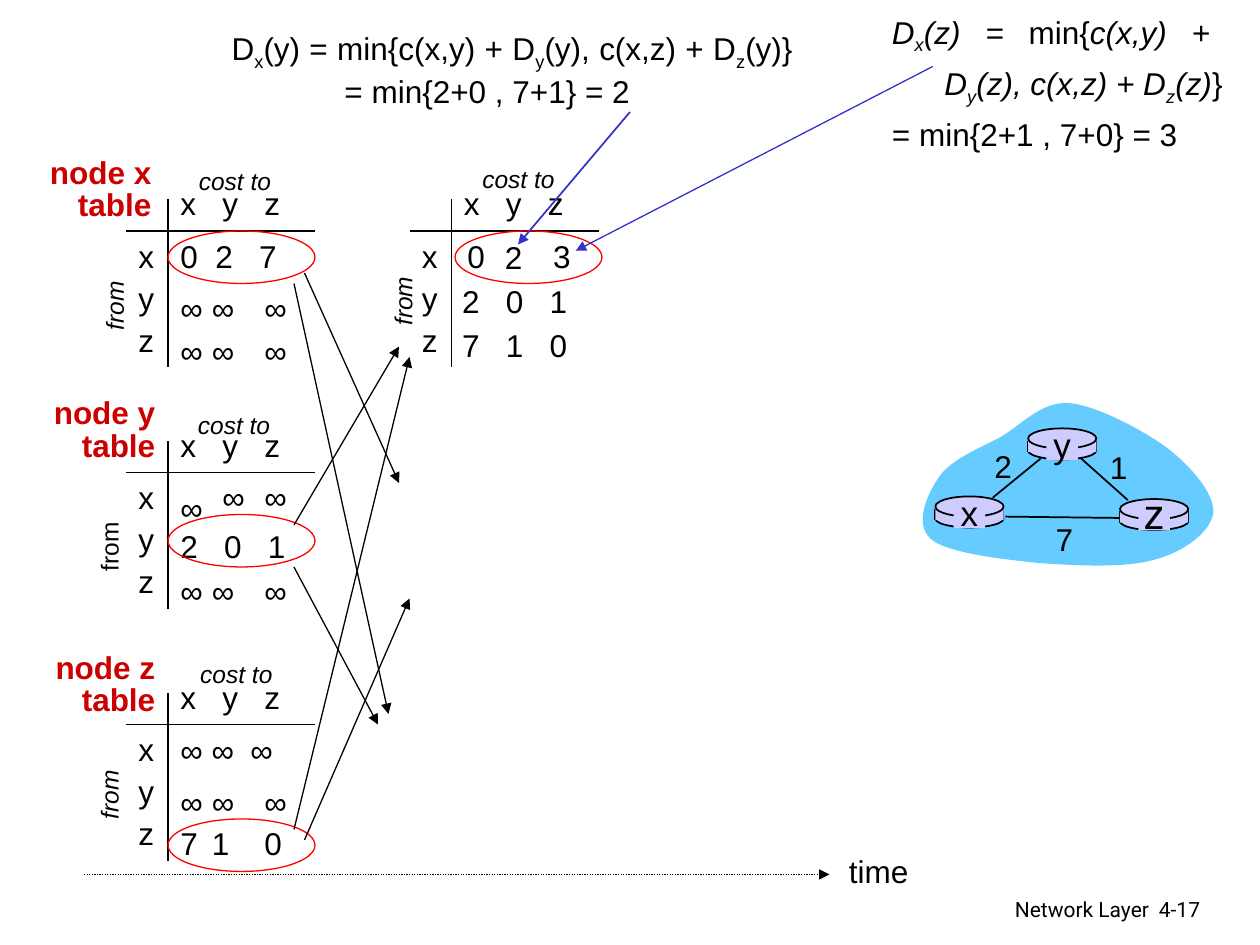
from lxml import etree
from pptx import Presentation
from pptx.dml.color import RGBColor
from pptx.enum.dml import MSO_LINE
from pptx.enum.shapes import MSO_CONNECTOR, MSO_SHAPE
from pptx.enum.text import MSO_ANCHOR, MSO_AUTO_SIZE, PP_ALIGN
from pptx.oxml.ns import qn
from pptx.util import Pt

LEFT, RIGHT, JUSTIFY = PP_ALIGN.LEFT, PP_ALIGN.RIGHT, PP_ALIGN.JUSTIFY
CENTER = PP_ALIGN.CENTER
OVAL, RECT = MSO_SHAPE.OVAL, MSO_SHAPE.RECTANGLE
BLACK, RED, TITLE_RED, BLUE = "000000", "FF0000", "CC0000", "3333CC"
SKY, LILAC = "66CCFF", "CCCCFF"
NAMES = "xyz"
ROW, COLUMNS = 24, (0, 18, 48)
WIDE, NARROW = (25, 50), (18, 40)  # tab stops of the number rows


def infinities(offset, columns=COLUMNS):
    return [(column, offset, "∞", ()) for column in columns]


# Distance tables; cells are (dx, dy, text, tab stops) from the table corner
TABLES = [
    {"corner": (96, 114), "title": ("node x\ntable", 93.6, 87), "cost": (106.5, 91.5),
     "from": (44, 162.7, True), "ring": (0, 18),
     "cells": [(0, 18, "0\t2\t7", (20, 45))] + infinities(47.5) + infinities(72)},
    {"corner": (258, 114), "title": None, "cost": (268.5, 90),
     "from": (208.8, 160, True), "ring": (2, 18),
     "cells": [(2, 18, "0", ()), (23.5, 18.5, "2", ()), (51, 18, "3", ()),
               (-1, 43.5, "2\t0\t1", WIDE), (-1, 69, "7\t1\t0", WIDE)]},
    {"corner": (96, 252), "title": ("node y\ntable", 95.8, 224.6), "cost": (106, 231),
     "from": (41, 300.2, False), "ring": (0, 42),
     "cells": infinities(17.5, (24, 48)) + [(0, 24, "∞\n2\t0\t1", WIDE)]
     + infinities(71.5)},
    {"corner": (96, 396), "title": ("node z\ntable", 95.8, 370), "cost": (107.3, 373),
     "from": (41, 442, True), "ring": (0, 72),
     "cells": [(0, 18, "∞ ∞\t∞", NARROW)] + infinities(48)
     + [(x, 71.5, digit, ()) for x, digit in zip(COLUMNS, "710")]},
]

# Arrows: x1, y1, x2, y2
EXCHANGES = [(174, 156, 228, 276), (168, 162, 222, 408), (168, 300, 228, 198),
             (168, 324, 216, 414), (168, 474, 234, 204), (174, 480, 234, 342)]
TIME_AXIS = (48, 499.7, 474, 499.7)
POINTERS = [((360, 64, 296, 139.7), 1), ((533, 38, 329, 143.3), 0.75)]

# Equations: spans are (text, flags) with i = italic, s = subscript
EQUATION_Y = [[("D", ""), ("x", "s"), ("(y) = min{c(x,y) + D", ""), ("y", "s"),
               ("(y), c(x,z) + D", ""), ("z", "s"),
               ("(y)} \n= min{2+0 , 7+1} = 2", "")]]
EQUATION_Z = [[("D", "i"), ("x", "is"), ("(z) = ", "i"), ("min{", ""),
               ("c(x,y) + \nD", "i"), ("y", "is"), ("(z), c(x,z) + D", "i"),
               ("z", "is"), ("(z)", "i"), ("} ", "")],
              [("= min{2+1 , 7+0} = 3", "")]]

# Network: cloud start, then Bezier segments in inches
CLOUD_START = (7.45, 3.79)
CLOUD = [(7.54, 3.65, 7.77, 3.56, 7.94, 3.47), (8.11, 3.37, 8.27, 3.18, 8.49, 3.2),
         (8.71, 3.22, 9.08, 3.42, 9.27, 3.56), (9.46, 3.71, 9.64, 3.92, 9.63, 4.07),
         (9.61, 4.22, 9.4, 4.38, 9.17, 4.44), (8.94, 4.51, 8.55, 4.49, 8.26, 4.47),
         (7.96, 4.44, 7.52, 4.39, 7.39, 4.28), (7.25, 4.16, 7.36, 3.92, 7.45, 3.79)]
LINKS = [(567.3, 284.4, 594.7, 262), (617.8, 262, 644.5, 285.8), (641.5, 296, 574.5, 295.2)]
COSTS = [("2", 561, 252), ("1", 627, 252.7), ("7", 596, 293.8)]
ROUTERS = [("x", 534.5, 283.7, 20, 277.2), ("z", 640, 285.2, 24, 275),
           ("y", 587.5, 244.8, 20, 238.3)]  # name, left, top, size, text top


def color(value):
    return RGBColor.from_string(value)


def add_text(left, top, width, height, content, size=18, name="Arial", ink=BLACK,
             bold=False, italic=False, align=LEFT, spacing=None, wrap=True,
             anchor=MSO_ANCHOR.TOP, tabs=(), hanging=0, rotation=0):
    box = page.shapes.add_textbox(Pt(left), Pt(top), Pt(width), Pt(height))
    box.rotation = rotation
    frame = box.text_frame
    frame.word_wrap, frame.vertical_anchor = wrap, anchor
    frame.auto_size = MSO_AUTO_SIZE.SHAPE_TO_FIT_TEXT
    if isinstance(content, str):
        content = [[(line, "i" if italic else "")] for line in content.split("\n")]
    for index, spans in enumerate(content):
        para = frame.add_paragraph() if index else frame.paragraphs[0]
        para.alignment, para.line_spacing = align, spacing
        properties = para._p.get_or_add_pPr()
        if hanging and not index:
            properties.set("marL", str(Pt(hanging)))
            properties.set("indent", str(-Pt(hanging)))
        if tabs:
            stops = etree.SubElement(properties, qn("a:tabLst"))
            for stop in tabs:
                etree.SubElement(stops, qn("a:tab"), pos=str(Pt(stop)), algn="l")
        for text, flags in spans:
            for number, piece in enumerate(text.split("\n")):
                if number:
                    para.add_line_break()
                span = para.add_run()
                span.text = piece
                format_values = {"size": Pt(size), "name": name, "bold": bold,
                                 "italic": "i" in flags}
                for key, value in format_values.items():
                    setattr(span.font, key, value)
                span.font.color.rgb = color(ink)
                if "s" in flags:
                    span._r.get_or_add_rPr().set("baseline", "-25000")


def add_line(ends, ink=BLACK, weight=0.75, arrow=False, dash=None):
    line = page.shapes.add_connector(MSO_CONNECTOR.STRAIGHT, *map(Pt, ends))
    line.line.color.rgb, line.line.width = color(ink), Pt(weight)
    if dash:
        line.line.dash_style = dash
    if arrow:
        etree.SubElement(line.line._get_or_add_ln(), qn("a:tailEnd"), type="triangle")
    etree.SubElement(line._element.spPr, qn("a:effectLst"))


def paint(shape, fill=None, ink=None, weight=0.75):
    shape.shadow.inherit = False
    for part, value in ((shape.fill, fill), (shape.line.fill, ink)):
        if value:
            part.solid()
            part.fore_color.rgb = color(value)
        else:
            part.background()
    if ink:
        shape.line.width = Pt(weight)


def add_shape(kind, left, top, width, height, **look):
    paint(page.shapes.add_shape(kind, Pt(left), Pt(top), Pt(width), Pt(height)), **look)


def add_table_sketch(table):
    left, top = table["corner"]
    add_line((left, top, left, top + 96))
    add_line((left - ROW, top + 18, left + 84, top + 18))
    add_text(left, top - 12.3, 76, 29, "\t".join(NAMES), tabs=(24, 48))
    for index, name in enumerate(NAMES):
        add_text(left - ROW, top + 17.7 + index * ROW, 30, 29, name)
    for dx, dy, text, tabs in table["cells"]:
        add_text(left + dx, top + dy, 78 if tabs else 30, 29, text, tabs=tabs)
    add_text(*table["cost"], 60, 24, "cost to", size=14, italic=True)
    x, y, slanted = table["from"]
    add_text(x, y, 42.5, 24, "from", size=14, italic=slanted, wrap=False, rotation=270)
    if table["title"]:
        text, right, y = table["title"]
        add_text(right - 90, y, 90, 44, text, ink=TITLE_RED, bold=True,
                 align=RIGHT, spacing=0.85)
    dx, dy = table["ring"]
    add_shape(OVAL, left + dx, top + dy, 84, 30, ink=RED)


def add_cloud():
    start = previous = CLOUD_START
    points = []
    for x1, y1, x2, y2, x3, y3 in CLOUD:
        for step in range(1, 13):
            t = step / 12
            weights = ((1 - t) ** 3, 3 * t * (1 - t) ** 2, 3 * t * t * (1 - t), t ** 3)
            curve = (previous, (x1, y1), (x2, y2), (x3, y3))
            points.append(tuple(7200 * sum(w * point[axis] for w, point in zip(weights, curve))
                                for axis in (0, 1)))
        previous = (x3, y3)
    builder = page.shapes.build_freeform(start[0] * 7200, start[1] * 7200, scale=Pt(1) / 100)
    builder.add_line_segments(points, close=True)
    paint(builder.convert_to_shape(), fill=SKY)


def add_router(name, left, top, size, text_top):
    add_shape(OVAL, left, top + 7.7, 39, 10, fill=LILAC, ink=BLACK, weight=1)
    for x in (left, left + 39):
        add_line((x, top + 7, x, top + 13.7), weight=1)
    add_shape(RECT, left, top + 7, 39, 6.5, fill=LILAC)
    add_shape(OVAL, left, top, 39, 11.5, fill=LILAC, ink=BLACK, weight=1)
    add_shape(RECT, left + 10.5, top + 1.5, 18, 16.5, fill=LILAC)
    add_text(left + 4.5, text_top, 30, 31, name, size=size, align=CENTER)


deck = Presentation()
deck.slide_width, deck.slide_height = Pt(720), Pt(540)
page = deck.slides.add_slide(deck.slide_layouts[6])

# Footer
add_text(435.6, 509, 228.2, 22, "Network Layer", size=12, name="Roboto", align=RIGHT)
add_text(655.2, 509, 53, 22, "4-17", size=12, name="Roboto")

# Tables, exchanged vectors and time axis
for table in TABLES:
    add_table_sketch(table)
for ends in EXCHANGES:
    add_line(ends, arrow=True)
add_line(TIME_AXIS, arrow=True, dash=MSO_LINE.ROUND_DOT)
add_text(478, 483.3, 54, 29, "time")

# Network
add_cloud()
for ends in LINKS:
    add_line(ends, weight=1)
for router in ROUTERS:
    add_router(*router)
for cost, left, top in COSTS:
    add_text(left, top, 24.5, 29, cost, align=CENTER)

# Equations and their pointers
equation = {"align": JUSTIFY, "anchor": MSO_ANCHOR.MIDDLE}
add_text(125.3, 14.4, 340, 50.4, EQUATION_Y, hanging=64.5, wrap=False, **equation)
add_text(502.6, 2.2, 210.2, 85, EQUATION_Z, hanging=30, spacing=1.2, wrap=False, **equation)
for ends, weight in POINTERS:
    add_line(ends, ink=BLUE, weight=weight, arrow=True)

deck.save("out.pptx")
